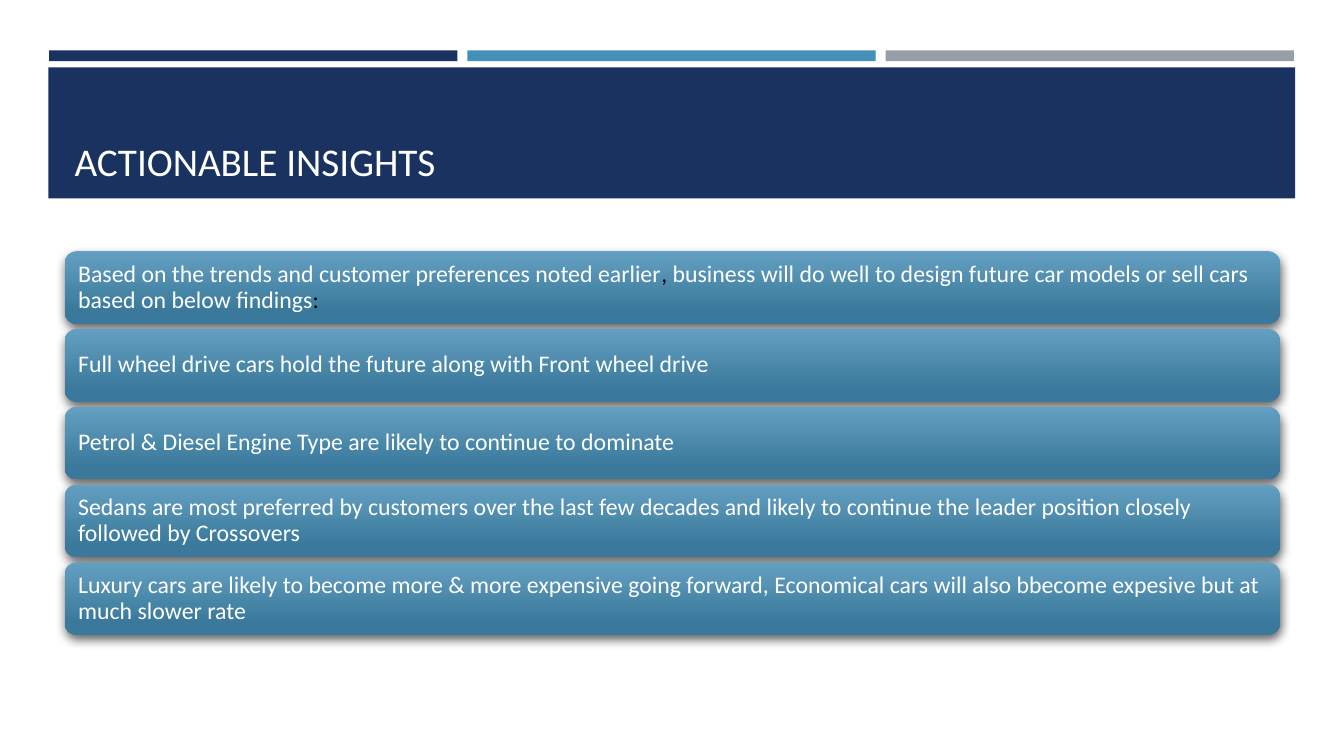
from dataclasses import dataclass

from lxml.etree import SubElement
from pptx import Presentation
from pptx.dml.color import RGBColor
from pptx.enum.shapes import MSO_SHAPE as SHAPE
from pptx.enum.text import MSO_ANCHOR as ANCHOR
from pptx.oxml.ns import qn
from pptx.shapes.autoshape import Shape
from pptx.slide import Slide
from pptx.util import Cm, Pt

COLORS = {
    "navy": "1A3260", "blue": "4590B8", "grey": "969FA7", "white": "FFFFFF",
    "black": "010000", "card_top": "639FC1", "card_bottom": "3A799B",
    "shadow": "000000",
}
FONT = "Calibri"


@dataclass(frozen=True)
class Box:
    """Position and size in centimetres."""
    left: float
    top: float
    width: float
    height: float

    def lengths(self) -> tuple[Cm, Cm, Cm, Cm]:
        return Cm(self.left), Cm(self.top), Cm(self.width), Cm(self.height)


@dataclass(frozen=True)
class Span:
    text: str
    color: str = "white"


@dataclass(frozen=True)
class Card:
    spans: tuple[Span, ...]


HEADER = Box(1.22, 1.7, 31.42, 3.3)
TITLE = Box(1.63, 1.96, 30.63, 2.82)
STRIPE, STRIPE_PITCH = Box(1.24, 1.27, 10.29, 0.27), 10.54
CARD, CARD_PITCH = Box(1.63, 6.33, 30.63, 1.83), 1.96
STRIPE_COLORS = ("navy", "blue", "grey")
CARDS = (
    Card((
        Span("Based on the trends and customer preferences noted earlier"),
        Span(",", "black"),
        Span(" business will do well to design future car models or sell cars "
             "based on below findings"),
        Span(":", "black"),
    )),
    Card((Span("Full wheel drive cars hold the future along with Front wheel drive"),)),
    Card((Span("Petrol & Diesel Engine Type are likely to continue to dominate"),)),
    Card((Span("Sedans are most preferred by customers over the last few decades and "
               "likely to continue the leader position closely followed by Crossovers"),)),
    Card((Span("Luxury cars are likely to become more & more expensive going forward, "
               "Economical cars will also bbecome expesive but at much slower rate"),)),
)


def rgb(name: str) -> RGBColor:
    return RGBColor.from_string(COLORS[name])


def write_text(sp: Shape, spans: tuple[Span, ...], *, size: float, anchor: ANCHOR,
               margin_x: float = 0.25, margin_y: float = 0.13,
               line_spacing: float = 1.0) -> None:
    tf = sp.text_frame
    tf.word_wrap = True
    tf.vertical_anchor = anchor
    tf.margin_left = tf.margin_right = Cm(margin_x)
    tf.margin_top = tf.margin_bottom = Cm(margin_y)
    p = tf.paragraphs[0]
    p.alignment = 1  # left
    p.line_spacing = line_spacing
    for span in spans:
        r = p.add_run()
        r.text = span.text
        r.font.name = FONT
        r.font.size = Pt(size)
        r.font.color.rgb = rgb(span.color)


def add_bar(s: Slide, box: Box, color: str) -> None:
    sp = s.shapes.add_shape(SHAPE.RECTANGLE, *box.lengths())
    sp.fill.solid()
    sp.fill.fore_color.rgb = rgb(color)
    sp.line.fill.background()
    sp.shadow.inherit = False


def add_drop_shadow(sp: Shape) -> None:
    sp.shadow.inherit = False
    effects = sp.element.spPr.find(qn("a:effectLst"))
    shadow = SubElement(effects, qn("a:outerShdw"), blurRad=str(Pt(7)), dist=str(Pt(3)),
                        dir=str(84 * 60000), algn="ctr", rotWithShape="0")
    color = SubElement(shadow, qn("a:srgbClr"), val=COLORS["shadow"])
    SubElement(color, qn("a:alpha"), val="60000")


def add_card(s: Slide, box: Box, card: Card) -> None:
    sp = s.shapes.add_shape(SHAPE.ROUNDED_RECTANGLE, *box.lengths())
    sp.fill.gradient()
    sp.fill.gradient_angle = 270
    stops = zip(sp.fill.gradient_stops, ("card_top", "card_bottom"), (0, 0.84))
    for stop, color, position in stops:
        stop.color.rgb = rgb(color)
        stop.position = position
    sp.line.fill.background()
    add_drop_shadow(sp)
    write_text(sp, card.spans, size=17, anchor=ANCHOR.MIDDLE, line_spacing=0.9)


def main() -> None:
    prs = Presentation()
    prs.slide_width, prs.slide_height = Cm(33.87), Cm(19.05)
    s = prs.slides.add_slide(prs.slide_layouts[6])

    # Header band and title
    add_bar(s, HEADER, "navy")
    title = s.shapes.add_textbox(*TITLE.lengths())
    write_text(title, (Span("ACTIONABLE INSIGHTS"),), size=28, anchor=ANCHOR.BOTTOM)

    # Stripes above the header
    for i, color in enumerate(STRIPE_COLORS):
        left = STRIPE.left + i * STRIPE_PITCH
        add_bar(s, Box(left, STRIPE.top, STRIPE.width, STRIPE.height), color)

    # Insight cards
    for i, card in enumerate(CARDS):
        top = CARD.top + i * CARD_PITCH
        add_card(s, Box(CARD.left, top, CARD.width, CARD.height), card)

    prs.save("out.pptx")


if __name__ == "__main__":
    main()
